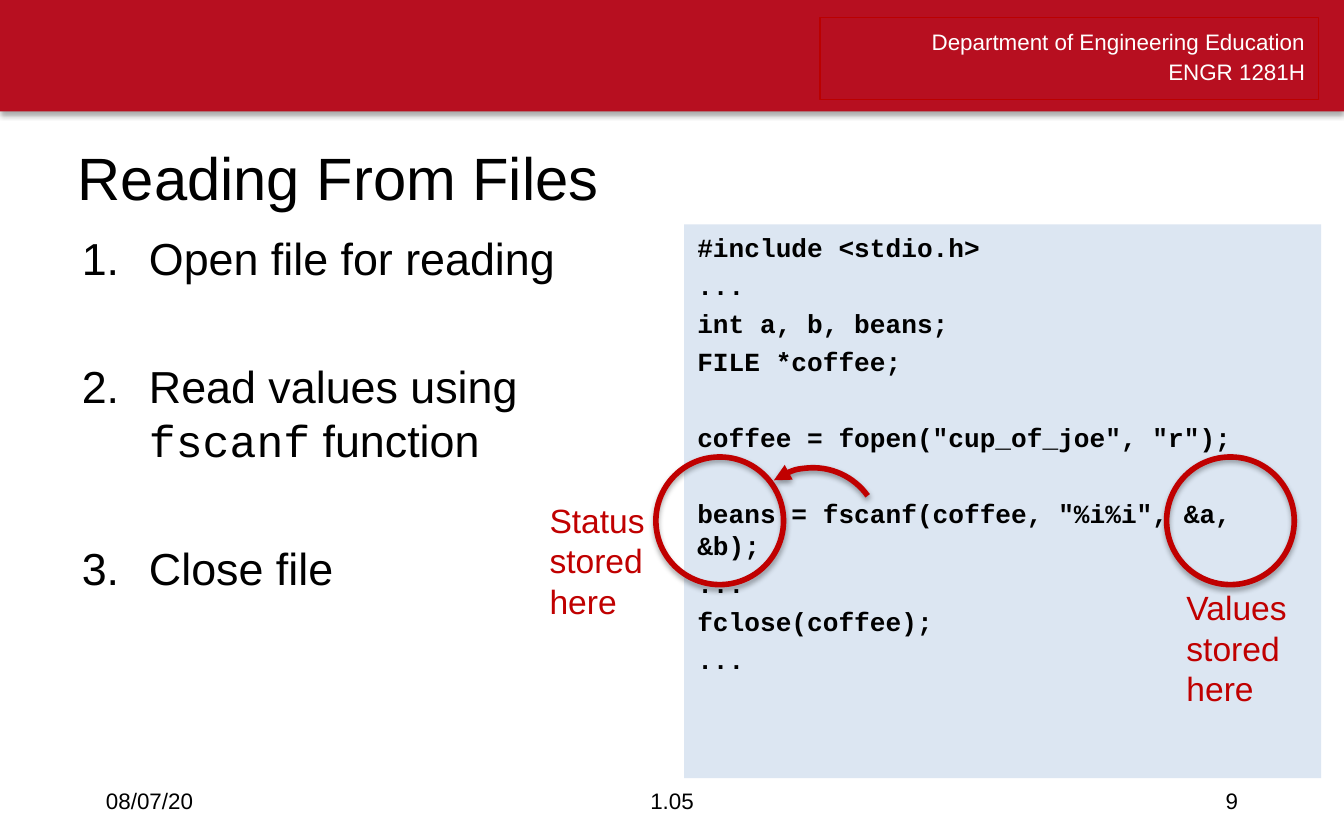
from lxml import etree
from pptx import Presentation, util as u
from pptx.dml.color import RGBColor
from pptx.enum import shapes, text
from pptx.oxml.ns import qn

WHITE = RGBColor(0xFF, 0xFF, 0xFF)
BLACK = RGBColor(0, 0, 0)
BANNER_RED = RGBColor(0xB7, 0x0F, 0x20)
FRAME_RED = RGBColor(0xBB, 0, 0)
MARK_RED = RGBColor(0xC0, 0, 0)
CODE_BLUE = RGBColor(0xDC, 0xE6, 0xF2)
SANS, MONO = "Arial", "Courier New"
WIDTH, HEIGHT = 10, 6.25
LEFT, RIGHT = text.PP_ALIGN.LEFT, text.PP_ALIGN.RIGHT
CENTER = text.PP_ALIGN.CENTER
TOP, MIDDLE = text.MSO_ANCHOR.TOP, text.MSO_ANCHOR.MIDDLE
Kind = shapes.MSO_SHAPE

# Each code line with the number of empty lines above it
CODE = [("#include <stdio.h>", 0), ("...", 0), ("int a, b, beans;", 0),
        ("FILE *coffee;", 0), ('coffee = fopen("cup_of_joe", "r");', 1),
        ('beans = fscanf(coffee, "%i%i", &a, &b);', 1),
        ("...", 0), ("fclose(coffee);", 0), ("...", 0)]
# Each step as runs of wording and font
STEPS = [[("Open file for reading", SANS)],
         [("Read values using ", SANS), ("fscanf", MONO), (" function", SANS)],
         [("Close file", SANS)]]


def inches(box):
    return [u.Inches(length) for length in box]


def style(span, size, color=BLACK, font=SANS, bold=False):
    span.font.size, span.font.name = u.Pt(size), font
    span.font.color.rgb, span.font.bold = color, bold


def add_shape(page, kind, box, fill=None, line=None, weight=3, shadow=0):
    shape = page.shapes.add_shape(kind, *inches(box))
    if fill is None:
        shape.fill.background()
    else:
        shape.fill.solid()
        shape.fill.fore_color.rgb = fill
    if line is None:
        shape.line.fill.background()
    else:
        shape.line.color.rgb = line
        shape.line.width = u.Pt(weight)
    shape.shadow.inherit = False
    if shadow:
        effects = shape._element.spPr.find(qn("a:effectLst"))
        outer = etree.SubElement(effects, qn("a:outerShdw"), blurRad=str(u.Pt(3.1)),
                                 dist=str(u.Pt(1.8)), dir="5400000", rotWithShape="0")
        color = etree.SubElement(outer, qn("a:srgbClr"), val="000000")
        etree.SubElement(color, qn("a:alpha"), val=str(shadow * 1000))
    return shape


def write(shape, lines, size, color=BLACK, font=SANS, bold=False,
          align=LEFT, anchor=TOP, wrap=True):
    frame = shape.text_frame
    frame.word_wrap, frame.vertical_anchor = wrap, anchor
    if not wrap:
        frame.auto_size = text.MSO_AUTO_SIZE.SHAPE_TO_FIT_TEXT
    frame.text = "\n".join(lines)
    for para in frame.paragraphs:
        para.alignment = align
        for span in para.runs:
            style(span, size, color, font, bold)
    return frame.paragraphs


def add_label(page, box, wording, size, **options):
    return write(page.shapes.add_textbox(*inches(box)), [wording], size, **options)


def add_banner(page, box):
    left, top, width, height = box
    add_shape(page, Kind.RECTANGLE, box, fill=BANNER_RED, shadow=35)
    frame = add_shape(page, Kind.RECTANGLE, (left + 0.61 * width, top + 0.13,
                      0.371 * width, height - 0.22), line=FRAME_RED, weight=0.75)
    for para in write(frame, ["Department of Engineering Education", "ENGR 1281H"],
                      12, WHITE, align=RIGHT):
        para.line_spacing = u.Pt(16.4)


def add_code(page, box):
    panel = add_shape(page, Kind.RECTANGLE, box, fill=CODE_BLUE)
    paras = write(panel, [line for line, _ in CODE], 14, font=MONO, bold=True)
    for para, (_, gaps) in zip(paras, CODE):
        para.space_before = u.Pt(3.6 + 20.4 * gaps)


def add_steps(page, box):
    frame = page.shapes.add_textbox(*inches(box)).text_frame
    frame.word_wrap = True
    for index, step in enumerate(STEPS):
        para = frame.add_paragraph() if index else frame.paragraphs[0]
        para.space_before = u.Pt(39.7 if index else 5.4)
        for wording, font in step:
            span = para.add_run()
            span.text = wording
            style(span, 24, font=font)
        # Automatic numbering with a hanging indent
        props = para._p.get_or_add_pPr()
        props.set("marL", str(u.Inches(0.5)))
        props.set("indent", str(u.Inches(-0.5)))
        etree.SubElement(props, qn("a:buFont"), typeface=SANS)
        etree.SubElement(props, qn("a:buAutoNum"), type="arabicPeriod")


def add_footer(page, box):
    left, top, width, height = box
    parts = [("08/07/20", 0, 0.26, LEFT), ("1.05", 0.304, 0.392, CENTER),
             ("9", 0.74, 0.26, RIGHT)]
    for wording, start, share, align in parts:
        add_label(page, (left + start * width, top, share * width, height),
                  wording, 12, align=align, anchor=MIDDLE)


def add_marks(page, box):
    left, top, size, _ = box
    # Rings around the status variable and the value arguments
    for offset in (3.8, 0):
        add_shape(page, Kind.OVAL, (left + offset, top, size, size),
                  line=MARK_RED, shadow=35)
    for name, x, y, width in (("Values", 3.85, 0.92, 0.96), ("Status", -0.89, 0.27, 0.92)):
        add_label(page, (left + x, top + y, width, 1.01), name + "\vstored\vhere",
                  18, color=MARK_RED, wrap=False)
    # Curved arrow back to the status variable
    arrow = add_shape(page, Kind.ARC, (left + 0.67, top + 0.08, 1, 1),
                      line=MARK_RED, shadow=38)
    arrow.rotation = 324.4
    etree.SubElement(arrow.line._get_or_add_ln(), qn("a:headEnd"), type="triangle")


deck = Presentation()
deck.slide_width, deck.slide_height = u.Inches(WIDTH), u.Inches(HEIGHT)
page = deck.slides.add_slide(deck.slide_layouts[6])
add_banner(page, (0, 0, WIDTH, 0.83))
add_code(page, (5.09, 1.67, 4.74, 4.12))
add_steps(page, (0.51, 1.67, 4.42, 4.12))
add_label(page, (0.48, 0.96, 9.07, 0.71), "Reading From Files", 32, anchor=MIDDLE)
add_footer(page, (0.69, 5.79, 8.62, 0.33))
add_marks(page, (4.88, 3.4, 0.95, 0.95))
deck.save("out.pptx")
